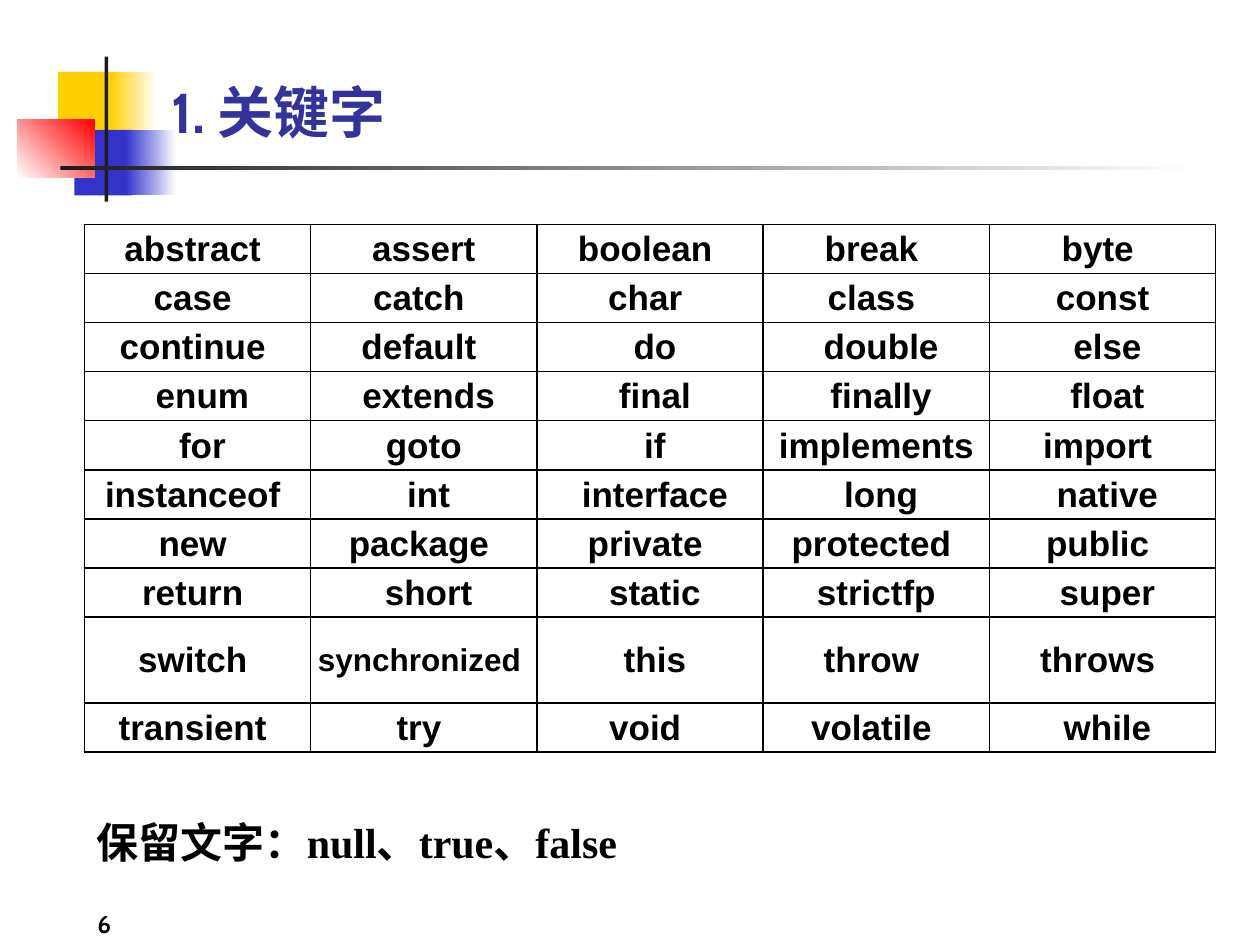
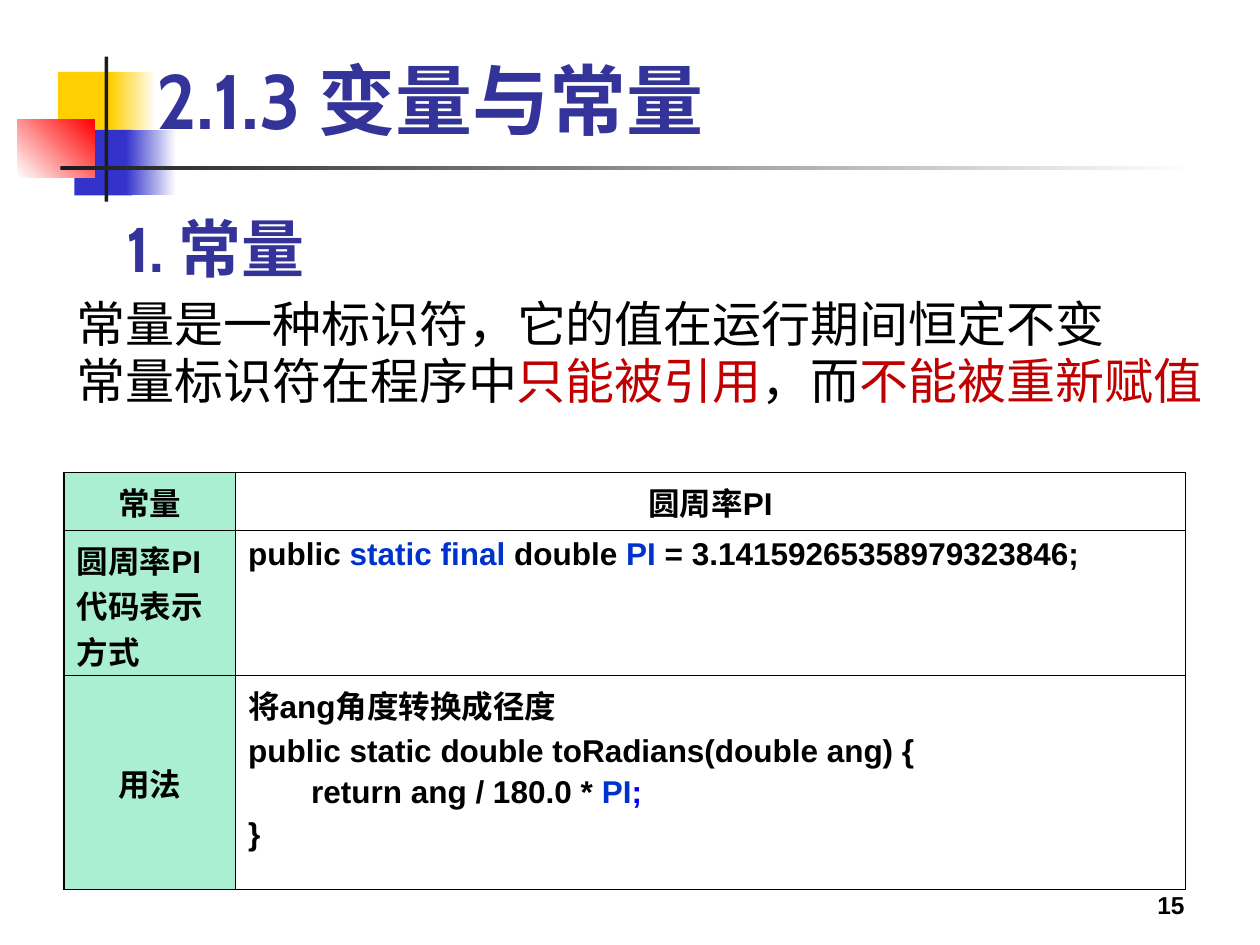
"""Two slides on Java keywords and constants, with a shared corner motif and title style."""
from lxml import etree
from pptx import Presentation
from pptx import util as u
from pptx.dml.color import RGBColor
from pptx.enum import shapes, text
from pptx.oxml import ns

BLACK = RGBColor(0, 0, 0)
WHITE = RGBColor(255, 255, 255)
NAVY = RGBColor(0x33, 0x33, 0x99)
GOLD = RGBColor(0xFF, 0xCF, 0x01)
BLUE = RGBColor(0x33, 0x33, 0xCC)
RED = RGBColor(255, 0, 0)
INK = RGBColor(0x1C, 0x1C, 0x1C)
MINT = RGBColor(0xAA, 0xEF, 0xD1)
CODE = RGBColor(0x00, 0x33, 0xCC)
PURE = RGBColor(0, 0, 255)
WARN = RGBColor(0xC0, 0, 0)
HAN = "Noto Sans CJK SC"
LEFT, MID, RIGHT = text.PP_ALIGN.LEFT, text.PP_ALIGN.CENTER, text.PP_ALIGN.RIGHT
TOP, HALF, LOW = text.MSO_ANCHOR.TOP, text.MSO_ANCHOR.MIDDLE, text.MSO_ANCHOR.BOTTOM


def write(box, lines, size, face, align=LEFT, bold=True, gap=0):
    """Write lines, each a list of (words, colour) runs."""
    frame = box.text_frame
    frame.word_wrap = True
    for i, line in enumerate(lines):
        para = frame.add_paragraph() if i else frame.paragraphs[0]
        para.alignment = align
        para.space_before = u.Pt(gap)
        for words, tint in line:
            run = para.add_run()
            run.text = words
            font = run.font
            font.size, font.bold, font.name = u.Pt(size), bold, face
            font.color.rgb = tint
            etree.SubElement(run._r.get_or_add_rPr(), ns.qn("a:ea"), typeface=HAN)


def style(cell, tint, anchor, pads):
    """Give a cell black borders, a fill, an anchor and margins."""
    props = cell._tc.get_or_add_tcPr()
    for side in ("lnL", "lnR", "lnT", "lnB"):
        line = etree.SubElement(props, ns.qn("a:" + side), w=str(u.Pt(1)))
        fill = etree.SubElement(line, ns.qn("a:solidFill"))
        etree.SubElement(fill, ns.qn("a:srgbClr"), val=str(BLACK))
    cell.fill.solid()
    cell.fill.fore_color.rgb = tint
    cell.vertical_anchor = anchor
    cell.margin_left, cell.margin_top, cell.margin_right, cell.margin_bottom = map(u.Inches, pads)


deck = Presentation()
deck.slide_width, deck.slide_height = u.Inches(10), u.Inches(7.5)
plan = deck.slide_layouts[5]
words, consts = [deck.slides.add_slide(plan) for _ in range(2)]

motif = [
    (0.46, 0.57, 0.48, 0.52, [GOLD], 0),
    (0.88, 0.57, 0.36, 0.52, [GOLD, WHITE], 0),
    (0.59, 1.03, 0.46, 0.52, [BLUE], 0),
    (1, 1.03, 0.4, 0.52, [BLUE, WHITE], 0),
    (0.14, 0.95, 0.61, 0.46, [WHITE, RED], 45),
    (0.83, 0.45, 0.03, 1.15, [INK], 0),
    (0.48, 1.32, 9, 0.03, [INK, WHITE], 0),
]
for *place, tints, angle in motif:
    block = words.shapes.add_shape(shapes.MSO_SHAPE.RECTANGLE, *map(u.Inches, place))
    block.shadow.inherit = False
    block.line.fill.background()
    if len(tints) == 1:
        block.fill.solid()
        block.fill.fore_color.rgb = tints[0]
    else:
        block.fill.gradient()
        block.fill.gradient_angle = angle
        for stop, tint in zip(block.fill.gradient_stops, tints):
            stop.color.rgb = tint
    plan.shapes.element.append(block.element)

heads = [
    (words.shapes.title, 1.26, 0.28, "1. 关键字", 32),
    (consts.shapes.title, 0.9, 1.39, "1. 常量", 36),
    (consts.shapes.add_textbox(0, 0, 0, 0), 1.14, 0.28, "2.1.3 变量与常量", 44),
]
for head, left, top, label, size in heads:
    head.left, head.top = u.Inches(left), u.Inches(top)
    head.width, head.height = u.Inches(8.52), u.Inches(0.92)
    head.text_frame.auto_size = text.MSO_AUTO_SIZE.NONE
    head.text_frame.vertical_anchor = LOW
    write(head, [[(label, NAVY)]], size, "Cabin")

feet = [
    (words, (0, 7, 0.98, 0.5), "6", "Cabin"),
    (consts, (7.17, 6.83, 2.33, 0.52), "15", "Arial"),
]
for slide, place, label, face in feet:
    foot = slide.shapes.add_textbox(*map(u.Inches, place))
    foot.text_frame.vertical_anchor = LOW
    write(foot, [[(label, BLACK)]], 14, face, RIGHT)

note = words.shapes.add_textbox(*map(u.Inches, (0.67, 6.43, 8.66, 0.51)))
write(note, [[("保留文字：null、true、false", BLACK)]], 24, "Times New Roman")

# "~" marks a no-break space
terms = [
    "abstract~ assert boolean~ break~ byte~",
    "case~ catch~ char~ class~ const",
    "continue~ default~ ~do ~double ~else",
    "~enum ~extends ~final ~finally ~float",
    "~for goto ~if implements import~",
    "instanceof~ ~int ~interface ~long ~native",
    "new~ package~ private~ protected~ public~",
    "return~ ~short ~static strictfp ~super",
    "switch~ synchronized~ ~this throw~ throws~",
    "transient~ try~ void~ volatile~ ~while",
]
grid = words.shapes.add_table(10, 5, *map(u.Inches, (0.67, 1.78, 8.98, 4.18))).table
grid.first_row = grid.horz_banding = False
for i, row in enumerate(terms):
    grid.rows[i].height = u.Inches(0.68 if i == 8 else 0.39)
    for cell, term in zip(grid.rows[i].cells, row.split()):
        style(cell, WHITE, HALF, (0.01, 0.01, 0.01, 0))
        size = 18 if term.startswith("synchronized") else 20
        write(cell, [[(term.replace("~", chr(160)), BLACK)]], size, "Arial", MID)

body = consts.shapes.add_textbox(*map(u.Inches, (0.51, 2.33, 9.29, 1.39)))
write(body, [
    [("常量是一种标识符，它的值在运行期间恒定不变", BLACK)],
    [("常量标识符在程序中", BLACK), ("只能被引用", WARN), ("，而", BLACK), ("不能被重新赋值", WARN)],
], 28, HAN, bold=False, gap=2.5)
for para in body.text_frame.paragraphs:
    para.line_spacing = 0.9

usage = [
    [("将ang角度转换成径度", BLACK)],
    [("public static double toRadians(double ang) {", BLACK)],
    [("return ang / 180.0 * ", BLACK), ("PI", CODE), (";", PURE)],
    [("}", BLACK)],
]
code = [[("public ", BLACK), ("static final", CODE), (" double ", BLACK), ("PI ", CODE),
         ("= 3.14159265358979323846;", BLACK)]]
facts = [
    (0.46, "常量", MID, [[("圆周率PI", BLACK)]], MID),
    (1.15, "圆周率PI代码表示方式", LEFT, code, LEFT),
    (1.7, "用法", MID, usage, LEFT),
]
chart = consts.shapes.add_table(3, 2, *map(u.Inches, (0.51, 3.75, 8.9, 3.31))).table
chart.first_row = chart.horz_banding = False
chart.columns[0].width, chart.columns[1].width = u.Inches(1.36), u.Inches(7.54)
for row, (tall, label, side, lines, align) in zip(chart.rows, facts):
    row.height = u.Inches(tall)
    key, value = row.cells
    style(key, MINT, HALF, (0.1, 0.05, 0.1, 0.05))
    style(value, WHITE, TOP, (0.1, 0.05, 0.1, 0.05))
    write(key, [[(label, BLACK)]], 18, "Arial", side, gap=3.6)
    write(value, lines, 18, "Arial", align, gap=3.6)
inner = chart.cell(2, 1).text_frame.paragraphs[2]
inner._p.get_or_add_pPr().set("marL", str(u.Inches(0.5)))

deck.save("out.pptx")
